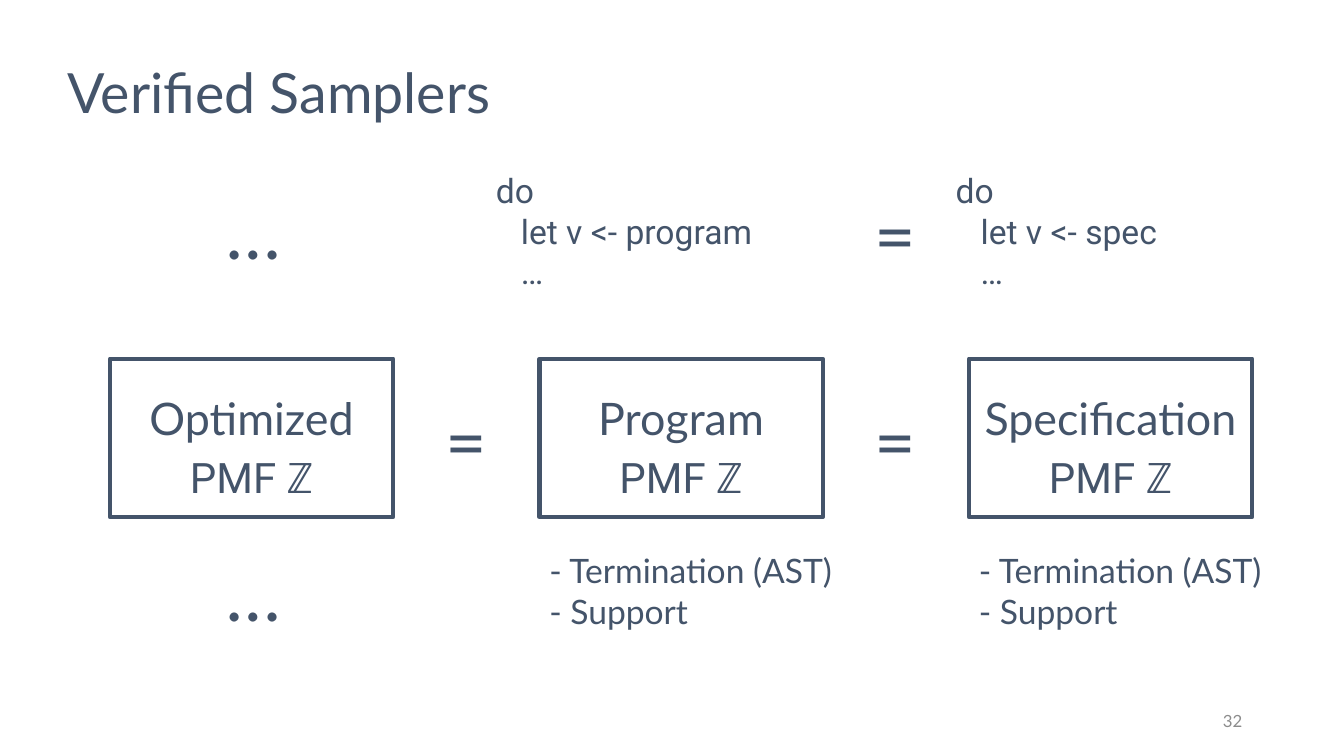
from pptx import Presentation
from pptx.dml.color import RGBColor
from pptx.enum.shapes import MSO_SHAPE
from pptx.enum.text import MSO_ANCHOR, MSO_AUTO_SIZE, PP_ALIGN
from pptx.util import Inches, Pt

RECT = MSO_SHAPE.RECTANGLE
TOP, MIDDLE = MSO_ANCHOR.TOP, MSO_ANCHOR.MIDDLE
LEFT, CENTER, RIGHT = PP_ALIGN.LEFT, PP_ALIGN.CENTER, PP_ALIGN.RIGHT
NO_FIT = MSO_AUTO_SIZE.NONE

SLATE, GRAY, WHITE = "44546A", "8C8C8C", "FFFFFF"
BOX_W, BOX_H = 2.81, 1.57
BOX_LEFT, BOX_TOP, PITCH = 1.09, 3.56, 4.26
SYMBOL = 0.75
CODE_TOP, PROPERTIES_TOP = 1.64, 5.41


def color(value):
    return RGBColor.from_string(value)


def write(sp, lines, size, font="Lato", fill=SLATE, align=LEFT, anchor=TOP,
          spacing=None):
    tf = sp.text_frame
    tf.text = "\n".join(lines)
    tf.word_wrap = True
    tf.auto_size = NO_FIT
    tf.vertical_anchor = anchor
    for p in tf.paragraphs:
        p.alignment = align
        if spacing:
            p.line_spacing = spacing
        for r in p.runs:
            r.font.name = font
            r.font.size = Pt(size)
            r.font.color.rgb = color(fill)


def add_text(s, x, y, w, h, lines, size, **style):
    sp = s.shapes.add_textbox(Inches(x), Inches(y), Inches(w), Inches(h))
    write(sp, lines, size, **style)


def add_rect(s, x, y, w, h):
    sp = s.shapes.add_shape(RECT, Inches(x), Inches(y), Inches(w), Inches(h))
    sp.shadow.inherit = False
    sp.fill.solid()
    sp.fill.fore_color.rgb = color(WHITE)
    sp.line.fill.background()
    return sp


def add_title(s, x, y, w, h, text):
    sp = s.shapes.title
    sp.left, sp.top = Inches(x), Inches(y)
    sp.width, sp.height = Inches(w), Inches(h)
    write(sp, [text], 39.6, anchor=MIDDLE, spacing=0.7)


def add_symbol(s, x, y, text):
    """Large sign centred on the point x, y."""
    sp = add_rect(s, x - SYMBOL / 2, y - SYMBOL / 2, SYMBOL, SYMBOL)
    tf = sp.text_frame
    tf.margin_left = tf.margin_right = 0
    write(sp, [text], 54, font="Calibri", align=CENTER, anchor=MIDDLE)


def add_stage(s, x, y, w, h, name):
    """Framed stage name with its type underneath."""
    sp = add_rect(s, x, y, w, h)
    sp.line.color.rgb = color(SLATE)
    sp.line.width = Pt(3)
    write(sp, [name], 32, align=CENTER, spacing=1.5)
    add_text(s, x + 0.31, y + 0.87, w - 0.62, 0.61, ["PMF ℤ"], 30,
             font="Roboto", align=CENTER)


def add_code(s, x, y, source):
    lines = ["do", f"   let v <- {source}", "   …"]
    add_text(s, x, y, 3.61, 1.31, lines, 24, font="Roboto")


def add_properties(s, x, y):
    add_text(s, x, y, 3.6, 0.91, ["- Termination (AST)", "- Support"], 24)


def build_slide(prs):
    s = prs.slides.add_slide(prs.slide_layouts[5])
    add_title(s, 0.57, 0.66, 12, 0.65, "Verified Samplers")

    # Row of stages, joined by equals signs
    columns = [BOX_LEFT + i * PITCH for i in range(3)]
    gaps = [x + (BOX_W + PITCH) / 2 for x in columns[:2]]
    for x, name in zip(columns, ["Optimized", "Program", "Specification"]):
        add_stage(s, x, BOX_TOP, BOX_W, BOX_H, name)
    for x in gaps:
        add_symbol(s, x, BOX_TOP + BOX_H / 2, "=")

    # Code above and properties below the last two stages
    for x, source in [(4.82, "program"), (9.38, "spec")]:
        add_code(s, x, CODE_TOP, source)
    add_symbol(s, gaps[1], 2.3, "=")
    for x in columns[1:]:
        add_properties(s, x, PROPERTIES_TOP)

    # Ellipses above and below the first stage
    for y in (2.27, 5.87):
        add_symbol(s, columns[0] + BOX_W / 2 + 0.02, y, "…")

    # Slide number
    add_text(s, 9.42, 6.95, 3, 0.4, ["32"], 12, fill=GRAY, align=RIGHT,
             anchor=MIDDLE)


def main():
    prs = Presentation()
    prs.slide_width, prs.slide_height = Inches(13.33), Inches(7.5)
    build_slide(prs)
    prs.save("out.pptx")


if __name__ == "__main__":
    main()
